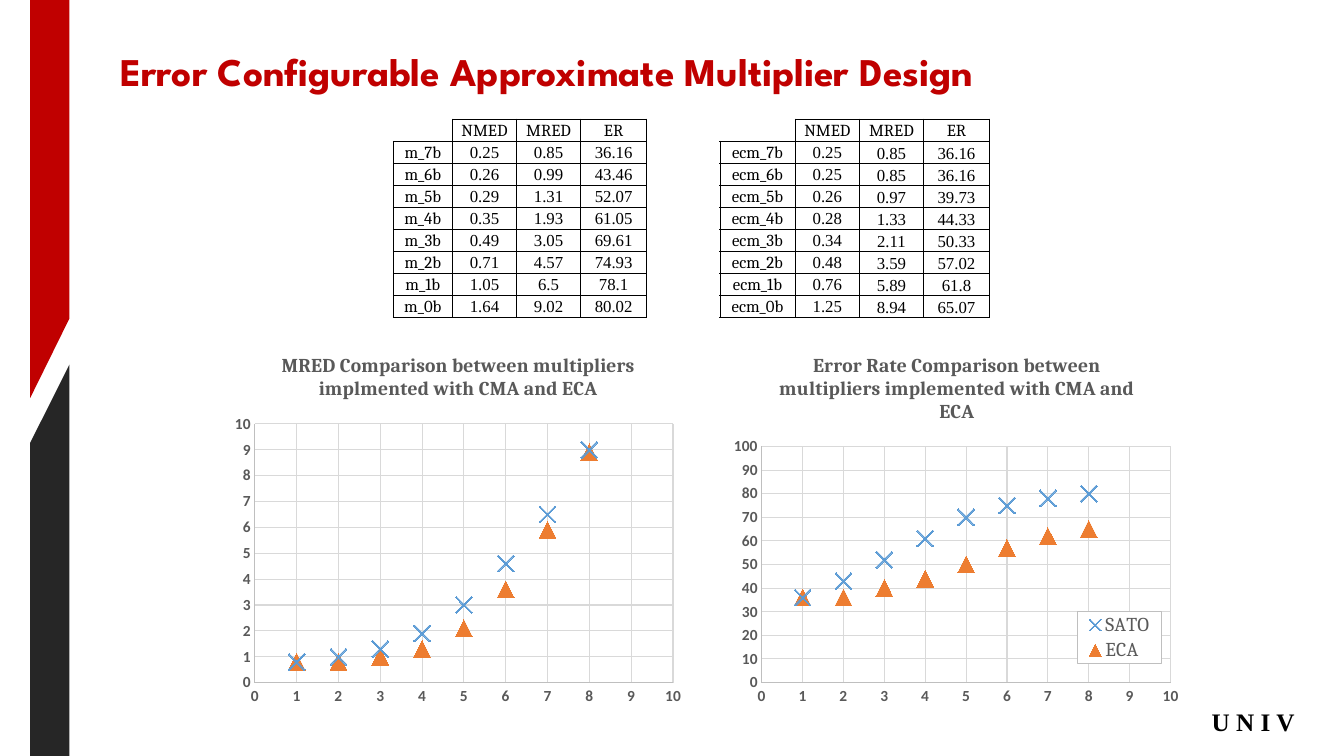
from lxml.etree import SubElement
from pptx import Presentation
from pptx.chart.data import XyChartData
from pptx.dml.color import RGBColor
from pptx.enum.chart import XL_CHART_TYPE, XL_LEGEND_POSITION, XL_MARKER_STYLE, XL_TICK_MARK
from pptx.enum.shapes import MSO_SHAPE
from pptx.enum.text import MSO_ANCHOR, PP_ALIGN
from pptx.oxml import parse_xml
from pptx.oxml.ns import nsdecls, qn
from pptx.util import Cm, Pt

RED = RGBColor(0xC0, 0x00, 0x00)
CHARCOAL = RGBColor(0x26, 0x26, 0x26)
BLACK = RGBColor(0x00, 0x00, 0x00)
GREY = RGBColor(0x59, 0x59, 0x59)
AXIS_GREY = RGBColor(0xBF, 0xBF, 0xBF)
GRID_GREY = RGBColor(0xD9, 0xD9, 0xD9)
BLUE = RGBColor(0x5B, 0x9B, 0xD5)
ORANGE = RGBColor(0xED, 0x7D, 0x31)

NO_TABLE_STYLE = "{2D5ABB26-0587-4C30-8999-92F81FD0307C}"
METRICS = ["NMED", "MRED", "ER"]
CMA = [(0.25, 0.85, 36.16), (0.26, 0.99, 43.46), (0.29, 1.31, 52.07), (0.35, 1.93, 61.05),
       (0.49, 3.05, 69.61), (0.71, 4.57, 74.93), (1.05, 6.5, 78.1), (1.64, 9.02, 80.02)]
ECA = [(0.25, 0.85, 36.16), (0.25, 0.85, 36.16), (0.26, 0.97, 39.73), (0.28, 1.33, 44.33),
       (0.34, 2.11, 50.33), (0.48, 3.59, 57.02), (0.76, 5.89, 61.8), (1.25, 8.94, 65.07)]
CHART_DIGITS = {"MRED": 1, "ER": 0}
COLUMN_WIDTHS = [1.49, 1.62, 1.61, 1.67, 1.84, 1.9, 1.62, 1.61, 1.67]


def set_font(font, name, size, colour, bold=False):
    values = {"name": name, "size": Pt(size), "bold": bold}
    for key, value in values.items():
        setattr(font, key, value)
    font.color.rgb = colour


def write(frame, text, name, size, colour, bold=False, align=PP_ALIGN.CENTER):
    para = frame.paragraphs[0]
    para.alignment = align
    span = para.add_run()
    span.text = text
    set_font(span.font, name, size, colour, bold)


def add_band(page, top, height, colour, rotation=0):
    band = page.shapes.add_shape(MSO_SHAPE.FLOWCHART_MANUAL_INPUT,
                                 Cm(0.76), Cm(top), Cm(0.99), Cm(height))
    band.rotation = rotation
    band.shadow.inherit = False
    band.fill.solid()
    band.fill.fore_color.rgb = colour
    band.line.fill.background()


def add_title(page, text):
    title = page.shapes.title
    place = {"left": Cm(2.78), "top": Cm(1.07), "width": Cm(24.43), "height": Cm(1.45)}
    for key, value in place.items():
        setattr(title, key, value)
    title.text_frame.vertical_anchor = MSO_ANCHOR.TOP
    write(title.text_frame, text, "League Spartan", 28, RED, True, PP_ALIGN.LEFT)


def add_label(page, text):
    box = page.shapes.add_textbox(Cm(30.12), Cm(17.68), Cm(2.92), Cm(1.02))
    box.text_frame.word_wrap = True
    write(box.text_frame, text, "Times New Roman", 18, BLACK, True)


def add_borders(cell):
    properties = cell._tc.get_or_add_tcPr()
    for index, side in enumerate(["lnL", "lnR", "lnT", "lnB"]):
        properties.insert(index, parse_xml(
            f'<a:{side} {nsdecls("a")} w="6350"><a:solidFill><a:srgbClr val="{BLACK}"/>'
            f'</a:solidFill></a:{side}>'))


def fill_cell(cell, text, name, anchor):
    values = {"margin_left": Cm(0.03), "margin_right": Cm(0.03), "margin_top": Cm(0.03),
              "margin_bottom": 0, "vertical_anchor": anchor}
    for key, value in values.items():
        setattr(cell, key, value)
    cell.fill.background()
    if text:
        write(cell.text_frame, text, name, 12, BLACK)
        add_borders(cell)
    else:
        SubElement(cell.text_frame.paragraphs[0]._p, qn("a:endParaRPr"), sz="1200")


def add_error_table(page):
    # Two blocks side by side with an empty column between them
    rows = [["", *METRICS, "", "", *METRICS]]
    for index, (cma, eca) in enumerate(zip(CMA, ECA)):
        bits = 7 - index
        rows.append([f"m_{bits}b", *(f"{value:g}" for value in cma), "",
                     f"ecm_{bits}b", *(f"{value:g}" for value in eca)])
    table = page.shapes.add_table(len(rows), len(COLUMN_WIDTHS), Cm(9.91), Cm(3),
                                  Cm(sum(COLUMN_WIDTHS)), Cm(5)).table
    table._tbl.tblPr.find(qn("a:tableStyleId")).text = NO_TABLE_STYLE
    for column, width in zip(table.columns, COLUMN_WIDTHS):
        column.width = Cm(width)
    for row_index, row in enumerate(rows):
        table.rows[row_index].height = int(Cm(5) / len(rows))
        for column_index, text in enumerate(row):
            is_number = row_index > 0 and column_index not in (0, 5)
            name = "Times New Roman" if is_number else "Cambria"
            low = is_number and column_index >= 7
            anchor = MSO_ANCHOR.BOTTOM if low else MSO_ANCHOR.MIDDLE
            fill_cell(table.cell(row_index, column_index), text, name, anchor)


def set_layout(parent, index, inner=False, **fractions):
    for old in parent.findall(qn("c:layout")):
        parent.remove(old)
    target = '<c:layoutTarget val="inner"/>' if inner else ""
    modes = "".join(f'<c:{key}Mode val="edge"/>' for key in "xy")
    sizes = "".join(f'<c:{key} val="{value}"/>' for key, value in fractions.items())
    parent.insert(index, parse_xml(
        f'<c:layout {nsdecls("c")}><c:manualLayout>{target}{modes}{sizes}'
        f'</c:manualLayout></c:layout>'))


def format_axis(axis, maximum):
    values = {"minimum_scale": 0, "maximum_scale": maximum, "major_unit": maximum / 10,
              "has_major_gridlines": True, "has_title": False,
              "major_tick_mark": XL_TICK_MARK.NONE, "minor_tick_mark": XL_TICK_MARK.NONE}
    for key, value in values.items():
        setattr(axis, key, value)
    for line, colour in [(axis.format.line, AXIS_GREY),
                         (axis.major_gridlines.format.line, GRID_GREY)]:
        line.color.rgb = colour
        line.width = Pt(0.75)
    set_font(axis.tick_labels.font, "Calibri", 11, GREY, True)
    axis.tick_labels.number_format = "General"
    axis.tick_labels.number_format_is_linked = False


def format_series(series, style, colour, filled):
    series.smooth = False
    series.format.line.fill.background()
    marker = series.marker
    marker.style = style
    marker.size = 12
    if filled:
        marker.format.fill.solid()
        marker.format.fill.fore_color.rgb = colour
        marker.format.line.fill.background()
    else:
        marker.format.fill.background()
        marker.format.line.color.rgb = colour
        marker.format.line.width = Pt(1.5)


def add_scatter(page, left, title, names, metric, maximum, plot_area):
    data = XyChartData()
    for name, records in zip(names, (CMA, ECA)):
        series = data.add_series(name)
        for x, record in enumerate(records, 1):
            value = record[METRICS.index(metric)]
            series.add_data_point(x, round(value, CHART_DIGITS[metric]))
    chart = page.shapes.add_chart(XL_CHART_TYPE.XY_SCATTER, Cm(left), Cm(8.51),
                                  Cm(11.71), Cm(9.45), data).chart
    set_font(chart.font, "Calibri", 10, BLACK)
    chart.has_legend = False
    chart.has_title = True
    write(chart.chart_title.text_frame, title, "Cambria", 14, GREY, True)
    set_layout(chart.chart_title._element, 1, x=0.11, y=0.03)
    set_layout(chart._chartSpace.chart.plotArea, 0, inner=True, **plot_area)
    format_axis(chart.category_axis, 10)
    format_axis(chart.value_axis, maximum)
    plot = chart.plots[0]
    plot.vary_by_categories = False
    format_series(plot.series[0], XL_MARKER_STYLE.X, BLUE, False)
    format_series(plot.series[1], XL_MARKER_STYLE.TRIANGLE, ORANGE, True)
    return chart


def add_legend(chart):
    chart.has_legend = True
    legend = chart.legend
    legend.position = XL_LEGEND_POSITION.RIGHT
    legend.include_in_layout = True
    set_font(legend.font, "Cambria", 14, GREY)
    set_layout(legend._element, 1, x=0.76, y=0.73, w=0.18, h=0.14)
    legend._element.find(qn("c:txPr")).addprevious(parse_xml(
        f'<c:spPr {nsdecls("c", "a")}><a:solidFill><a:srgbClr val="FFFFFF"/></a:solidFill>'
        f'<a:ln w="9525"><a:solidFill><a:srgbClr val="{AXIS_GREY}"/></a:solidFill></a:ln>'
        f'</c:spPr>'))


def main():
    deck = Presentation()
    deck.slide_width, deck.slide_height = Cm(33.87), Cm(19.05)
    page = deck.slides.add_slide(deck.slide_layouts[5])

    # Side bands, title and corner label
    add_band(page, 9.19, 9.86, CHARCOAL)
    add_band(page, 0, 10.03, RED, rotation=180)
    add_title(page, "Error Configurable Approximate Multiplier Design")
    add_label(page, "U N I V")

    # Error figures and their charts
    add_error_table(page)
    add_scatter(page, 5.72, "MRED Comparison between multipliers implmented with CMA and ECA",
                ["Series 1", "Series 2"], "MRED", 10, {"x": 0.06, "y": 0.23, "w": 0.9, "h": 0.69})
    error_rate = add_scatter(
        page, 18.26, "Error Rate Comparison between multipliers implemented with CMA and ECA",
        ["SATO", "ECA"], "ER", 100, {"x": 0.08, "y": 0.29, "w": 0.88, "h": 0.63})
    add_legend(error_rate)

    deck.save("out.pptx")


if __name__ == "__main__":
    main()
